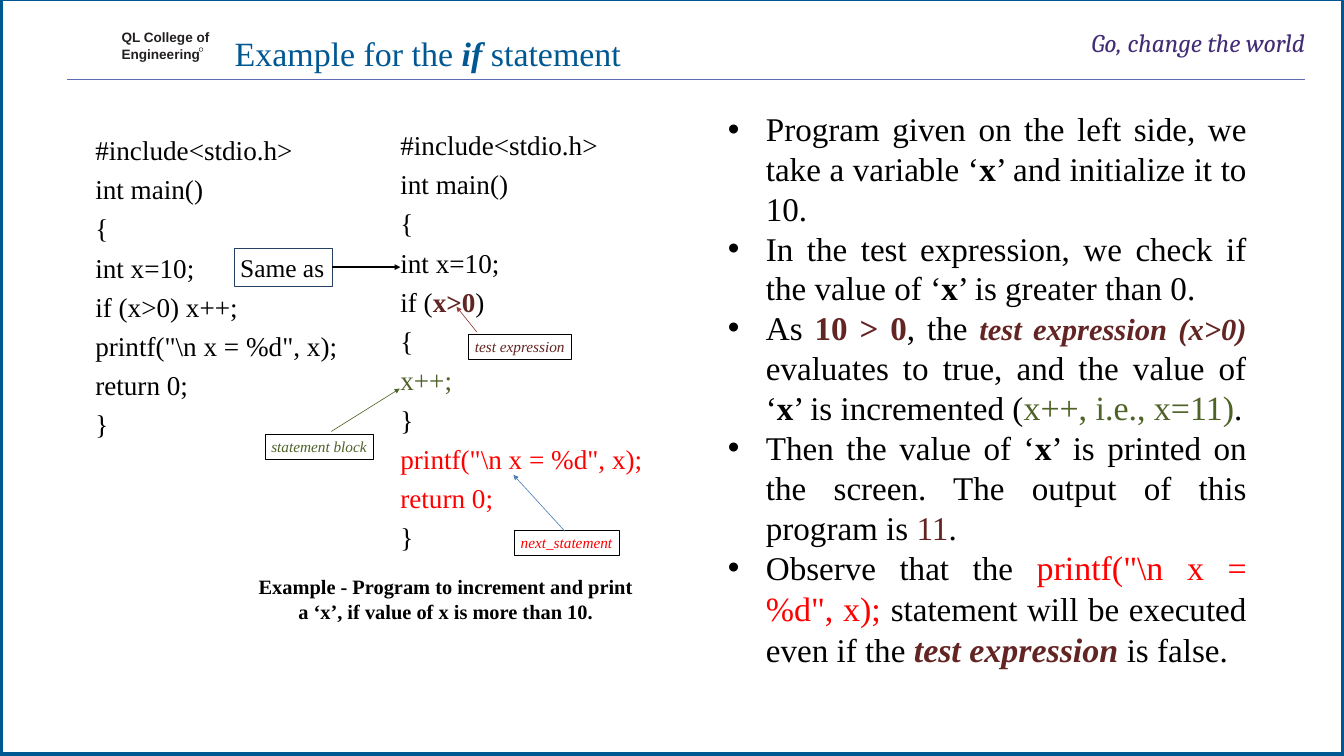
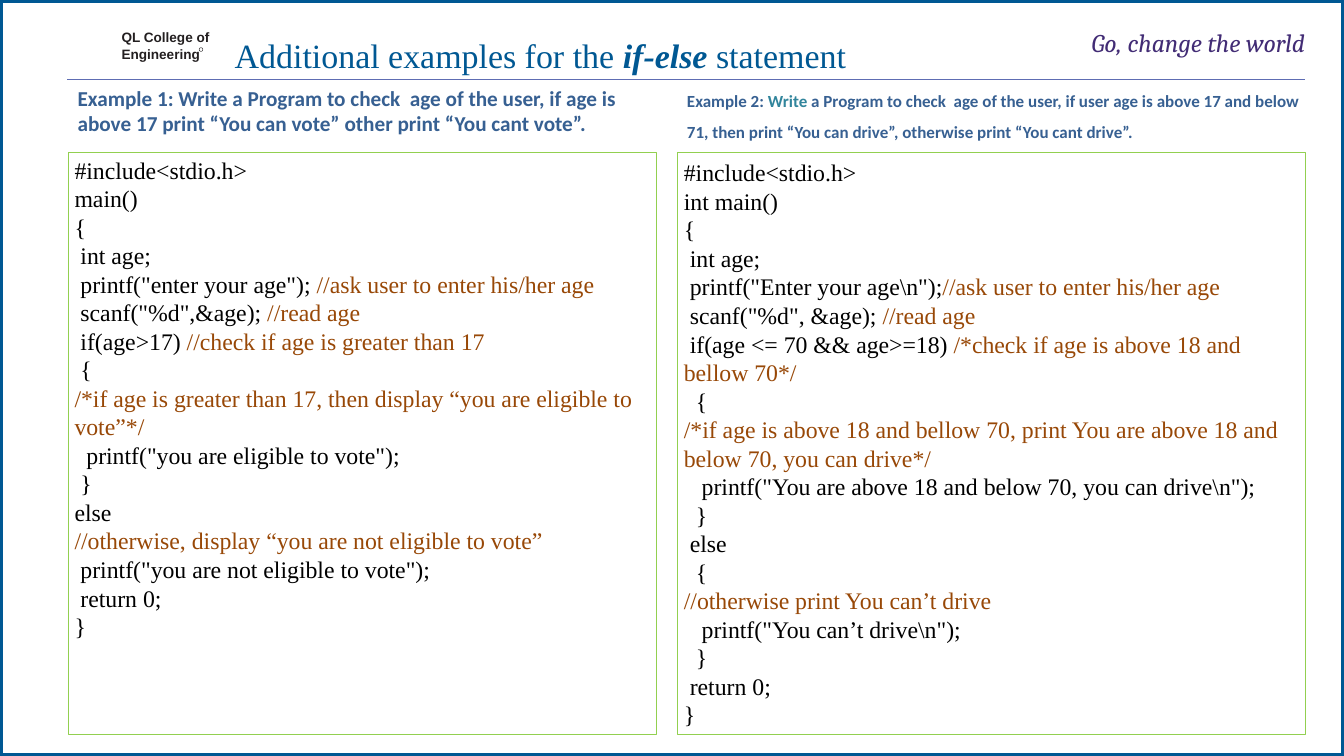
from dataclasses import dataclass
from typing import NamedTuple

from lxml import etree
from pptx import Presentation
from pptx.dml.color import RGBColor
from pptx.enum.shapes import MSO_CONNECTOR, MSO_SHAPE
from pptx.enum.text import MSO_ANCHOR, MSO_AUTO_SIZE, PP_ALIGN
from pptx.oxml.ns import qn
from pptx.util import Inches, Pt

WIDTH, HEIGHT = Inches(21.99), Inches(12.37)
LEFT, CENTER, RIGHT = PP_ALIGN.LEFT, PP_ALIGN.CENTER, PP_ALIGN.RIGHT
JUSTIFY = PP_ALIGN.JUSTIFY
TOP, MIDDLE = MSO_ANCHOR.TOP, MSO_ANCHOR.MIDDLE
RECTANGLE, OVAL = MSO_SHAPE.RECTANGLE, MSO_SHAPE.OVAL
STRAIGHT = MSO_CONNECTOR.STRAIGHT
NO_FIT = MSO_AUTO_SIZE.NONE
CONTENT_LAYOUT, COMPARISON_LAYOUT = 1, 4

BLACK, INK, BLUE, RULE = "000000", "231F20", "005893", "5E6DB3"
PURPLE, NAVY, HEADING, TEAL = "422C75", "254061", "376092", "31859C"
MAROON, OLIVE, RED, BROWN = "632523", "4F6228", "FF0000", "984807"
ROSE, SKY, LIME = "953735", "4B7EBC", "92D050"
SERIF = "Times New Roman"
BULLET_INDENT = Inches(0.62)


class Area(NamedTuple):
    """A rectangle in percent of the slide's width and height."""
    left: float
    top: float
    width: float
    height: float


class Point(NamedTuple):
    """A place in percent of the slide's width and height."""
    x: float
    y: float


class Span(NamedTuple):
    text: str
    color: str | None = None
    bold: bool | None = None
    italic: bool | None = None
    size: float | None = None


Lines = list[list[Span]]


@dataclass(frozen=True)
class Style:
    size: float
    color: str = BLACK
    font: str = SERIF
    bold: bool = False
    italic: bool = False
    align: PP_ALIGN = LEFT
    anchor: MSO_ANCHOR = TOP
    before: float = 0
    spacing: float | Pt = 1.0
    inset: bool = True
    wrap: bool = True
    bullet: str = ""


@dataclass(frozen=True)
class Callout:
    label: str
    area: Area
    style: Style
    edge: str
    edge_width: float
    start: Point
    end: Point
    arrow: str
    arrow_width: float


@dataclass(frozen=True)
class Example:
    heading: Lines
    heading_area: Area
    heading_style: Style
    code: list[str]
    code_area: Area
    code_style: Style


TITLE = Style(40, BLUE)
TAGLINE = Style(30, PURPLE, "Cambria", italic=True, align=RIGHT, inset=False)
COLLEGE = Style(16, INK, "Arial", bold=True, before=1.4, spacing=Pt(17.9), inset=False)
LISTING = Style(32, before=7.8, inset=False)
POINTS = Style(39, align=JUSTIFY, bullet="•")
CAPTION = Style(24, bold=True, align=CENTER)


def label_style(color: str) -> Style:
    return Style(18, color, italic=True, align=CENTER, wrap=False)


def plain(*texts: str) -> Lines:
    return [[Span(text)] for text in texts]


X = Span("x", bold=True)

LEFT_LISTING = plain(
    "#include<stdio.h>", "int main()", "{", "int x=10;", "if (x>0) x++;",
    r'printf("\n x = %d", x);', "return 0;", "}")
RIGHT_LISTING = [
    *plain("#include<stdio.h>", "int main()", "{", "int x=10;"),
    [Span("if ("), Span("x>0", MAROON, True), Span(")")],
    *plain("{"),
    [Span("x++;", OLIVE)],
    *plain("}"),
    [Span(r'printf("\n x = %d", x);', RED)],
    [Span("return 0;", RED)],
    *plain("}")]
EXPLANATION = [
    [Span("Program given on the left side, we take a variable ‘"), X,
     Span("’ and initialize it to 10.")],
    [Span("In the test expression, we check if the value of ‘"), X,
     Span("’ is greater than 0.")],
    [Span("As "), Span("10 > 0", MAROON, True), Span(", the "),
     Span("test expression (x>0)", MAROON, True, True, 36),
     Span(" evaluates to true, and the value of ‘"), X, Span("’ is incremented ("),
     Span("x++, i.e., x=11)", OLIVE, size=40), Span(".")],
    [Span("Then the value of ‘"), X,
     Span("’ is printed on the screen. The output of this program is "),
     Span("11", MAROON), Span(".")],
    [Span("Observe that the "), Span(r'printf("\n x = %d", x); ', RED, size=40),
     Span("statement will be executed even if the "),
     Span("test expression ", MAROON, True, True, 40), Span("is false.")]]
CALLOUTS = [
    Callout("Same as", Area(17.42, 32.9, 7.32, 4.93), Style(30), NAVY, 0.75,
            Point(24.69, 35.33), Point(29.79, 35.33), BLACK, 2.25),
    Callout("test expression", Area(34.83, 44.22, 7.69, 3.23), label_style(MAROON),
            BLACK, 0.25, Point(35.47, 43.9), Point(33.97, 40.58), ROSE, 0.75),
    Callout("statement block", Area(19.69, 57.48, 8.09, 3.23), label_style(OLIVE),
            BLACK, 0.25, Point(24.65, 57.07), Point(29.74, 51.41), OLIVE, 0.75),
    Callout("next_statement", Area(38.24, 70.17, 7.82, 3.23), label_style(RED),
            BLACK, 0.25, Point(42.02, 70.25), Point(38.2, 62.81), SKY, 0.75)]
EXAMPLES = [
    Example(
        plain("Example 1: Write a Program to check  age of the user, if age is above 17 "
              "print “You can vote” other print “You cant vote”."),
        Area(5.32, 10.83, 43.52, 7.6), Style(25, HEADING, "Calibri", bold=True),
        ["#include<stdio.h>", "main()", "{", " int age;",
         ' printf("enter your age"); //ask user to enter his/her age',
         ' scanf("%d",&age); //read age',
         " if(age>17) //check if age is greater than 17", " {",
         "/*if age is greater than 17, then display “you are eligible to vote”*/",
         '  printf("you are eligible to vote");', " }", "else",
         "//otherwise, display “you are not eligible to vote”",
         ' printf("you are not eligible to vote");', " return 0;", "}"],
        Area(5.09, 20.13, 43.75, 77.04), Style(28)),
    Example(
        [[Span("Example 2: "), Span("Write ", TEAL),
          Span("a Program to check  age of the user, if user age is above 17 and below "
               "71, then print “You can drive”, otherwise print “You cant drive”.")]],
        Area(50.66, 10.27, 46.52, 8.57),
        Style(20, HEADING, "Calibri", bold=True, spacing=1.5),
        ["#include<stdio.h>", "int main()", "{", " int age;",
         r' printf("Enter your age\n");//ask user to enter his/her age',
         ' scanf("%d", &age); //read age',
         " if(age <= 70 && age>=18) /*check if age is above 18 and bellow 70*/", "  {",
         "/*if age is above 18 and bellow 70, print You are above 18 and below 70, "
         "you can drive*/",
         r'   printf("You are above 18 and below 70, you can drive\n");', "  }",
         " else", "  {", "//otherwise print You can’t drive",
         r'   printf("You can’t drive\n");', "  }", " return 0;", "}"],
        Area(50.43, 20.13, 46.66, 77.04), Style(28, anchor=MIDDLE))]


def rgb(color: str) -> RGBColor:
    return RGBColor.from_string(color)


def across(share: float) -> int:
    return round(WIDTH * share / 100)


def down(share: float) -> int:
    return round(HEIGHT * share / 100)


def place(shape, area: Area) -> None:
    shape.left, shape.top = across(area.left), down(area.top)
    shape.width, shape.height = across(area.width), down(area.height)


def set_indent(para, margin: int, first: int, bullet: str) -> None:
    properties = para._p.get_or_add_pPr()
    properties.set("marL", str(margin))
    properties.set("indent", str(first))
    if bullet:
        etree.SubElement(properties, qn("a:buFont")).set("typeface", "Arial")
        etree.SubElement(properties, qn("a:buChar")).set("char", bullet)
    else:
        etree.SubElement(properties, qn("a:buNone"))


def write(shape, lines: Lines, style: Style) -> None:
    """Fill a shape with paragraphs; leading spaces become a first-line indent."""
    frame = shape.text_frame
    frame.word_wrap, frame.auto_size = style.wrap, NO_FIT
    frame.vertical_anchor = style.anchor
    if not style.inset:
        frame.margin_left = frame.margin_right = 0
        frame.margin_top = frame.margin_bottom = 0
    for index, spans in enumerate(lines):
        para = frame.paragraphs[0] if index == 0 else frame.add_paragraph()
        para.alignment = style.align
        para.space_before, para.space_after = Pt(style.before), Pt(0)
        para.line_spacing = style.spacing
        depth = len(spans[0].text) - len(spans[0].text.lstrip())
        if style.bullet:
            set_indent(para, BULLET_INDENT, -BULLET_INDENT, style.bullet)
        else:
            set_indent(para, 0, Pt(style.size * depth / 4), "")
        for position, span in enumerate(spans):
            run = para.add_run()
            run.text = span.text if position else span.text.lstrip()
            font = run.font
            font.name, font.size = style.font, Pt(span.size or style.size)
            font.bold = style.bold if span.bold is None else span.bold
            font.italic = style.italic if span.italic is None else span.italic
            font.color.rgb = rgb(span.color or style.color)


def outline(shape, color: str, width: float) -> None:
    shape.fill.background()
    shape.line.color.rgb = rgb(color)
    shape.line.width = Pt(width)


def add_shape(page, kind: MSO_SHAPE, area: Area):
    shape = page.shapes.add_shape(kind, 0, 0, 0, 0)
    place(shape, area)
    shape.shadow.inherit = False
    return shape


def add_text(page, area: Area, lines: Lines, style: Style) -> None:
    box = page.shapes.add_textbox(0, 0, 0, 0)
    place(box, area)
    write(box, lines, style)


def add_line(page, start: Point, end: Point, color: str, width: float,
             arrow: bool = False) -> None:
    line = page.shapes.add_connector(
        STRAIGHT, across(start.x), down(start.y), across(end.x), down(end.y))
    line.line.color.rgb = rgb(color)
    line.line.width = Pt(width)
    if arrow:
        etree.SubElement(line.line._get_or_add_ln(), qn("a:tailEnd")).set("type", "triangle")
    etree.SubElement(line._element.spPr, qn("a:effectLst"))


def fill_placeholder(shape, area: Area, lines: Lines, style: Style) -> None:
    place(shape, area)
    write(shape, lines, style)


def add_page(deck, layout: int, title: list[Span], title_area: Area, frame_top: float = 0):
    """Add a slide with the shared border, rule, college name, tagline and title."""
    page = deck.slides.add_slide(deck.slide_layouts[layout])
    outline(add_shape(page, RECTANGLE, Area(0, frame_top, 100, 100)), BLUE, 6)
    add_line(page, Point(5, 10.51), Point(97.13, 10.51), RULE, 1.25)
    outline(add_shape(page, OVAL, Area(14.82, 6.31, 0.27, 0.49)), INK, 0.5)
    add_text(page, Area(9.05, 4.04, 6.82, 4.37), plain("QL College of", "Engineering"), COLLEGE)
    add_text(page, Area(78.8, 3.64, 18.3, 4.12), plain("Go, change the world"), TAGLINE)
    fill_placeholder(page.shapes.title, title_area, [title], TITLE)
    return page


def add_callout(page, callout: Callout) -> None:
    box = add_shape(page, RECTANGLE, callout.area)
    outline(box, callout.edge, callout.edge_width)
    write(box, plain(callout.label), callout.style)
    add_line(page, callout.start, callout.end, callout.arrow, callout.arrow_width, True)


def split_comment(line: str) -> list[Span]:
    """Colour everything from a comment mark to the end of the line."""
    cut = min((line.find(mark) for mark in ("//", "/*") if mark in line), default=len(line))
    spans = [Span(line[:cut]), Span(line[cut:], BROWN)]
    return [span for span in spans if span.text]


def build_if_page(deck) -> None:
    title = [Span("Example for the "), Span("if ", bold=True, italic=True), Span("statement")]
    page = add_page(deck, CONTENT_LAYOUT, title, Area(17.01, 3.96, 32.56, 6.22), -0.16)
    fill_placeholder(page.placeholders[1], Area(53.71, 13.99, 39.52, 75.67),
                     EXPLANATION, POINTS)
    add_text(page, Area(7.09, 17.62, 21.28, 40.91), LEFT_LISTING, LISTING)
    add_text(page, Area(29.79, 16.98, 22.1, 56.59), RIGHT_LISTING, LISTING)
    for callout in CALLOUTS:
        add_callout(page, callout)
    add_text(page, Area(18.55, 75.59, 29.2, 7.36),
             plain("Example - Program to increment and print a ‘x’, "
                   "if value of x is more than 10."), CAPTION)


def build_if_else_page(deck) -> None:
    title = [Span("Additional examples for the "),
             Span("if-else", bold=True, italic=True), Span(" statement")]
    page = add_page(deck, COMPARISON_LAYOUT, title, Area(17.01, 4.2, 48, 6.22))
    for number, example in enumerate(EXAMPLES):
        heading = page.placeholders[2 * number + 1]
        panel = page.placeholders[2 * number + 2]
        fill_placeholder(heading, example.heading_area, example.heading, example.heading_style)
        fill_placeholder(panel, example.code_area,
                         [split_comment(line) for line in example.code], example.code_style)
        outline(panel, LIME, 0.75)


def main() -> None:
    deck = Presentation()
    deck.slide_width, deck.slide_height = WIDTH, HEIGHT
    build_if_page(deck)
    build_if_else_page(deck)
    deck.save("out.pptx")


if __name__ == "__main__":
    main()
